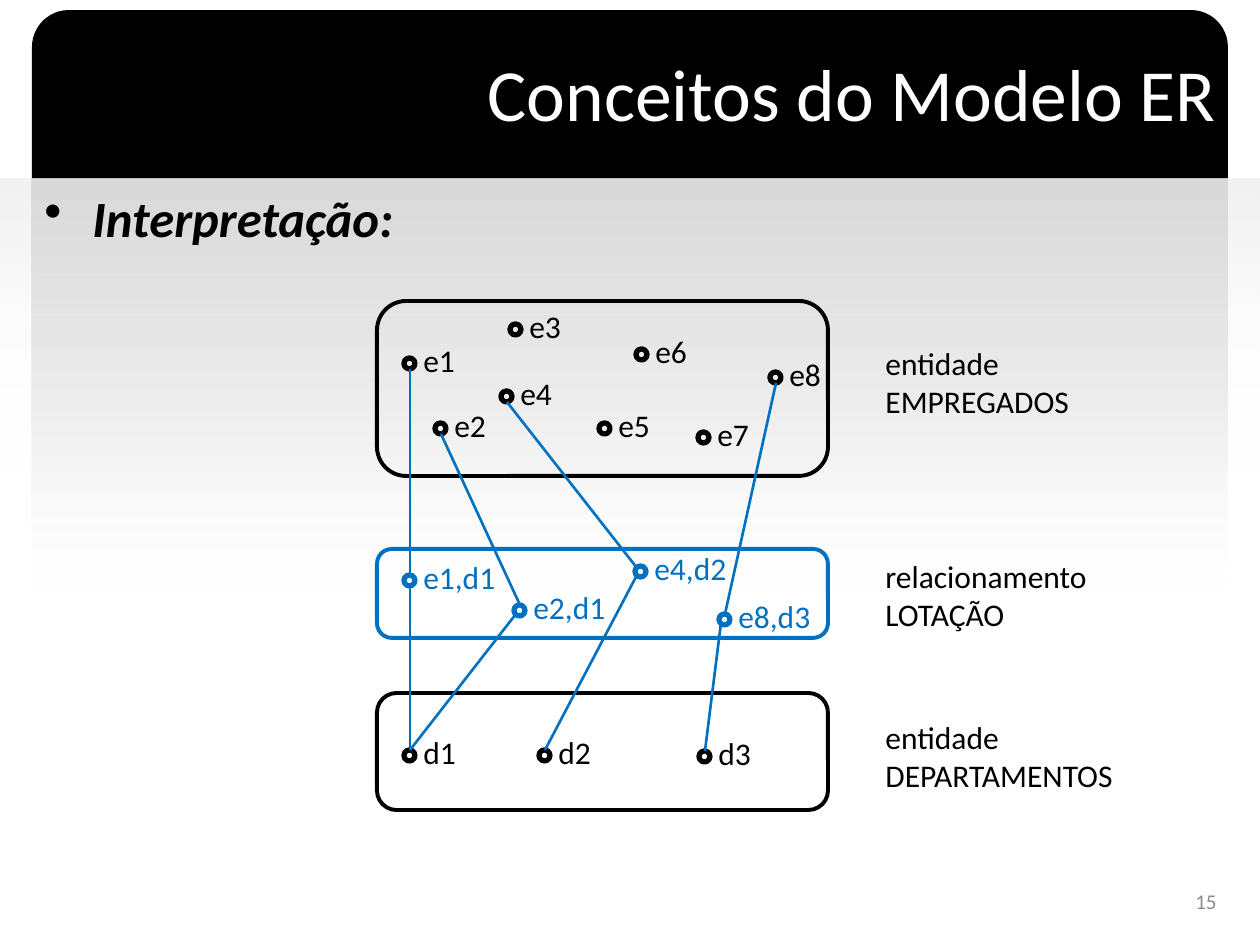
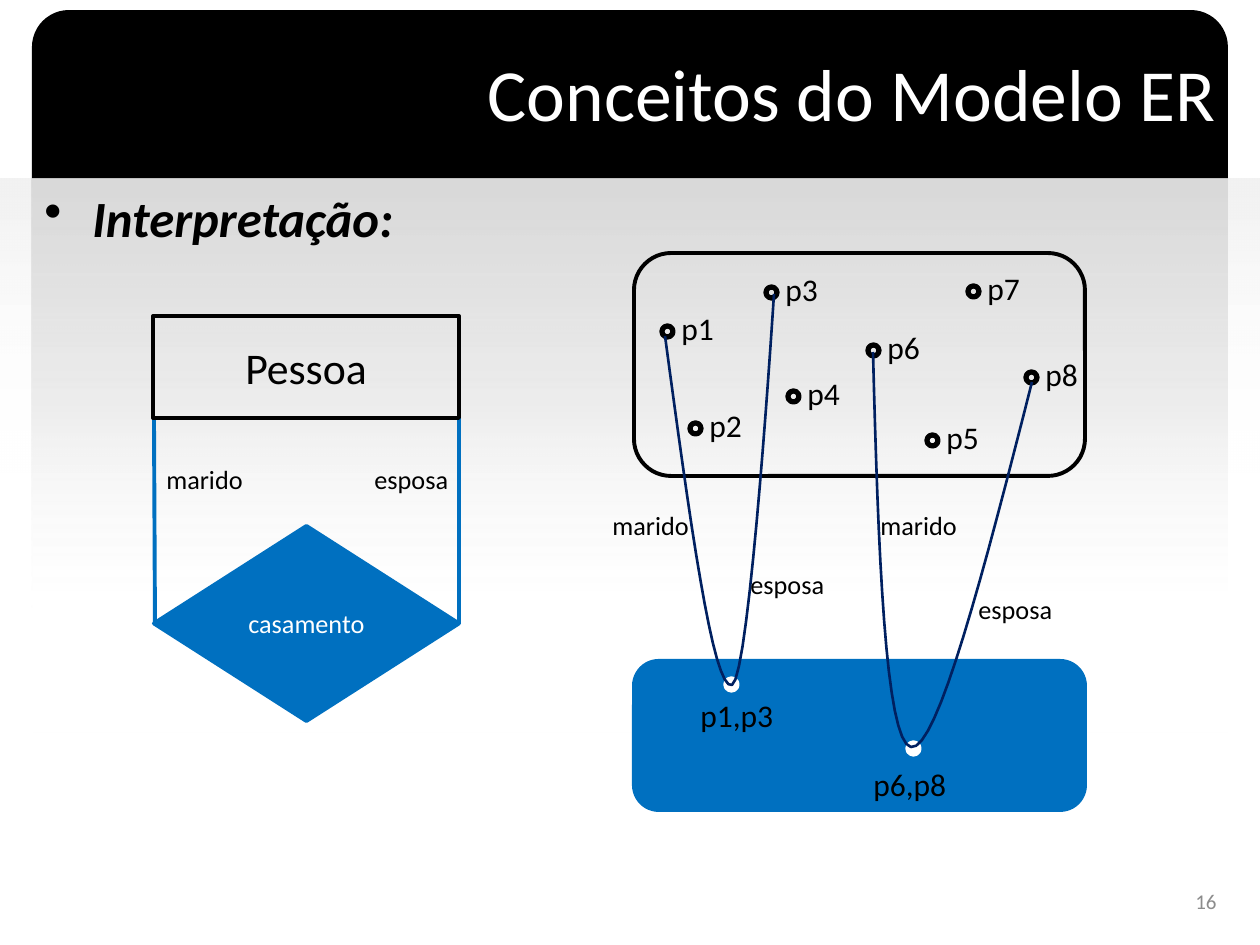
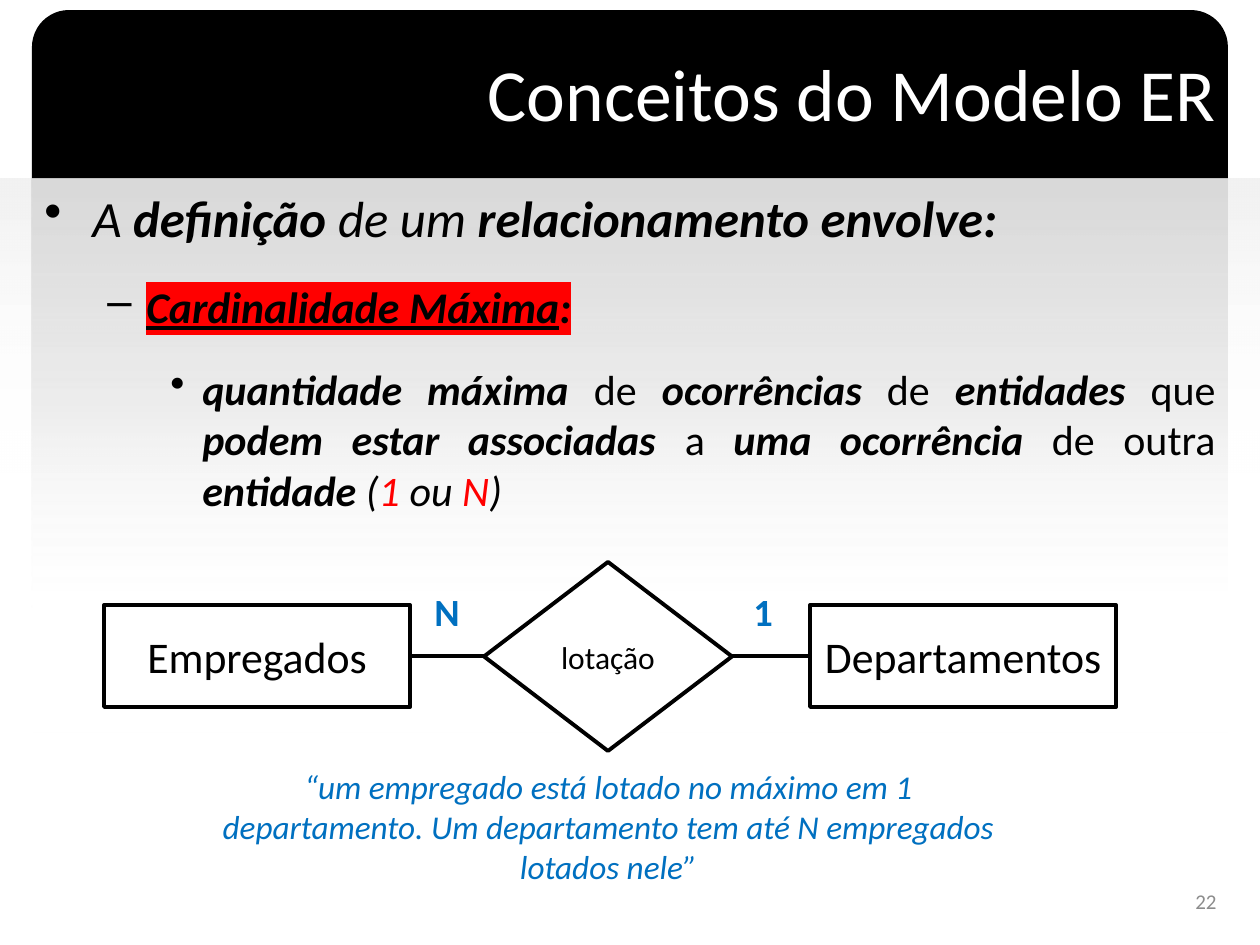
from lxml import etree
from pptx import Presentation
from pptx import util as u
from pptx.dml.color import RGBColor
from pptx.enum import shapes, text
from pptx.oxml import parse_xml
from pptx.oxml.ns import qn

PX = 914400 / 126
FONT = "Calibri"
NS = 'xmlns:a="http://schemas.openxmlformats.org/drawingml/2006/main"'
COLOURS = {"black": "000000", "white": "FFFFFF", "blue": "0070C0", "navy": "002060",
           "red": "FF0000", "grey": "8C8C8C"}
RGB = {name: RGBColor.from_string(value) for name, value in COLOURS.items()}
KIND = shapes.MSO_SHAPE


def add(s, kind, box, lines=(), size=18, colour="black", fill=None, line=None,
        weight=2.25, align="CENTER", anchor="MIDDLE"):
    """Add a shape, or a text box if kind is None; a line is a string or (text, flags) runs."""
    box = [round(v * PX) for v in box]
    if kind is None:
        sp = s.shapes.add_textbox(*box)
    else:
        sp = s.shapes.add_shape(kind, *box)
        sp.shadow.inherit = False
        if fill:
            sp.fill.solid()
            sp.fill.fore_color.rgb = RGB[fill]
        else:
            sp.fill.background()
        if line:
            sp.line.color.rgb = RGB[line]
            sp.line.width = u.Pt(weight)
        else:
            sp.line.fill.background()
    tf = sp.text_frame
    tf.word_wrap = True
    tf.vertical_anchor = getattr(text.MSO_ANCHOR, anchor)
    for i, runs in enumerate(lines):
        p = tf.add_paragraph() if i else tf.paragraphs[0]
        p.alignment = getattr(text.PP_ALIGN, align)
        for words, flags in [(runs, "")] if isinstance(runs, str) else runs:
            r = p.add_run()
            r.text = words
            r.font.name, r.font.size = FONT, u.Pt(size)
            r.font.bold, r.font.italic, r.font.underline = (f in flags for f in "biu")
            r.font.color.rgb = RGB["red" if "r" in flags else colour]
            if "h" in flags:
                mark = parse_xml(f'<a:highlight {NS}><a:srgbClr val="{COLOURS["red"]}"/></a:highlight>')
                r.font._element.find(qn("a:latin")).addprevious(mark)
    return sp


def link(s, start, end, colour, weight):
    ends = [round(v * PX) for v in (*start, *end)]
    c = s.shapes.add_connector(shapes.MSO_CONNECTOR.STRAIGHT, *ends)
    c.line.color.rgb = RGB[colour]
    c.line.width = u.Pt(weight)
    etree.SubElement(c._element.spPr, qn("a:effectLst"))


prs = Presentation()
prs.slide_width, prs.slide_height = u.Inches(10), u.Inches(7.5)

# Shared frame: (box, gradient stops as position, colour, opacity)
BANDS = [
    ((0, 179, 1260, 294), [(0, "F2F2F2", 100), (100, "FFFFFF", 0)]),
    ((32, 179, 1196, 557), [(0, "D9D9D9", 100), (40, "DFDFDF", 55),
                            (78, "FFFFFF", 10), (100, "FFFFFF", 0)]),
]
# Outline levels: size, left margin, hanging indent, bullet
LEVELS = [(29, 48, 48, "•"), (25, 102, 39, "–"), (24, 158, 32, "•")]

interpretation = [[("Interpretação:", "bi")]]
cardinality = [
    [("A ", "i"), ("definição ", "bi"), ("de um ", "i"), ("relacionamento envolve:", "bi")],
    [("Cardinalidade Máxima", "biuh"), (":", "bih")],
    [("quantidade máxima ", "bi"), ("de ", ""), ("ocorrências ", "bi"), ("de ", ""),
     ("entidades ", "bi"), ("que ", ""), ("podem estar associadas ", "bi"), ("a ", ""),
     ("uma ocorrência ", "bi"), ("de outra ", ""), ("entidade ", "bi"), ("(", "i"),
     ("1", "ir"), (" ou ", "i"), ("N", "ir"), (")", "i")],
]

slides = []
for number, body in [("15", interpretation), ("16", interpretation), ("22", cardinality)]:
    s = prs.slides.add_slide(prs.slide_layouts[6])
    slides.append(s)
    for box, stops in BANDS:
        sp = add(s, KIND.RECTANGLE, box)
        marks = "".join(f'<a:gs pos="{pos * 1000}"><a:srgbClr val="{rgb}">'
                        f'<a:alpha val="{alpha * 1000}"/></a:srgbClr></a:gs>'
                        for pos, rgb, alpha in stops)
        grad = parse_xml(f'<a:gradFill {NS} rotWithShape="1"><a:gsLst>{marks}</a:gsLst>'
                         '<a:lin ang="5400000" scaled="0"/></a:gradFill>')
        pr = sp._element.spPr
        pr.replace(pr.find(qn("a:noFill")), grad)
    sp = add(s, KIND.ROUND_2_SAME_RECTANGLE, (32, 10, 1196, 168), fill="black")
    sp.adjustments[0] = 0.22
    add(s, None, (32, 13, 1196, 158), ["Conceitos do Modelo ER"], 42, "white", align="RIGHT")

    sp = add(s, None, (32, 181, 1196, 682), body, align="JUSTIFY", anchor="TOP")
    for level, (p, (size, left, hang, bullet)) in enumerate(zip(sp.text_frame.paragraphs, LEVELS)):
        p.level = level
        pr = p._p.get_or_add_pPr()
        pr.set("marL", str(round(left * PX)))
        pr.set("indent", str(round(-hang * PX)))
        etree.SubElement(pr, qn("a:buChar"), char=bullet)
        p.space_before, p.space_after = u.Pt(6 if level else 0), u.Pt(12)
        for r in p.runs:
            r.font.size = u.Pt(size)
    add(s, None, (935, 876, 294, 50), [number], 12, "grey", align="RIGHT")

# Sets of occurrences: slide, frame, colour, label width, dots
staff, people, cardinal = slides
SETS = [
    (staff, (377, 301, 451, 175), "black", 63,
     {"e1": (404, 358), "e2": (435, 423), "e3": (510, 324), "e4": (501, 391),
      "e5": (599, 423), "e6": (636, 349), "e7": (698, 432), "e8": (770, 372)}),
    (staff, (377, 693, 451, 117), "black", 63,
     {"d1": (404, 750), "d2": (539, 750), "d3": (699, 751)}),
    (staff, (377, 549, 451, 89), "blue", 115,
     {"e1,d1": (404, 575), "e2,d1": (514, 605), "e4,d2": (635, 566), "e8,d3": (719, 614)}),
    (people, (634, 253, 451, 223), "black", 63,
     {"p1": (662, 326), "p2": (690, 423), "p3": (766, 287), "p4": (788, 391),
      "p5": (927, 435), "p6": (868, 345), "p7": (968, 286), "p8": (1026, 372)}),
]
DOT = 11
dots = {}
for s, frame, colour, width, members in SETS:
    add(s, KIND.ROUNDED_RECTANGLE, frame, line=colour)
    dots.update(members)
    for name, (x, y) in members.items():
        add(s, KIND.OVAL, (x, y, DOT, DOT), line=colour, weight=3)
        add(s, None, (x + 7, y - 23, width, 50), [name], colour=colour, align="LEFT", anchor="TOP")

# Slide 15: set names and links between dots, each end at a point on the dot's rim
for y, kind, name in [(338, "entidade", "EMPREGADOS"), (551, "relacionamento", "LOTAÇÃO"),
                      (712, "entidade", "DEPARTAMENTOS")]:
    add(staff, None, (873, y, 270, 89), [kind, name], align="LEFT", anchor="TOP")

RIM = {"top": (6, 0), "bottom": (6, DOT), "top left": (2, 2), "bottom left": (2, 9)}
for start, start_rim, end, end_rim in [
        ("e1", "bottom", "e1,d1", "top"), ("e1,d1", "bottom", "d1", "top"),
        ("e2", "bottom", "e2,d1", "top"), ("e2,d1", "bottom left", "d1", "top"),
        ("e4", "bottom", "e4,d2", "top left"), ("e4,d2", "bottom left", "d2", "top"),
        ("e8", "bottom", "e8,d3", "top"), ("e8,d3", "bottom left", "d3", "top")]:
    ends = [[a + b for a, b in zip(dots[dot], RIM[rim])]
            for dot, rim in [(start, start_rim), (end, end_rim)]]
    link(staff, *ends, "blue", 1.5)

# Slide 16: marriages
add(people, KIND.ROUNDED_RECTANGLE, (634, 661, 451, 149), fill="blue", line="blue")
for name, x, y, label_x, label_y in [("p1,p3", 726, 679, 688, 690), ("p6,p8", 908, 743, 861, 759)]:
    add(people, KIND.OVAL, (x, y, DOT, DOT), fill="white", line="white", weight=3)
    add(people, None, (label_x, label_y, 115, 50), [name], align="LEFT", anchor="TOP")

# Curves as chains of cubic Bézier points
STEPS = 16
for chain in [
        [(665, 336), (689, 514), (713, 692), (732, 685), (750, 678), (774, 294), (774, 294)],
        [(873, 352), (878, 547), (885, 742), (911, 747), (937, 752), (985, 567), (1032, 382)]]:
    points = []
    for k in range(0, len(chain) - 1, 3):
        for t in [n / STEPS for n in range(1, STEPS + 1)]:
            weights = ((1 - t) ** 3, 3 * t * (1 - t) ** 2, 3 * t * t * (1 - t), t ** 3)
            points.append([PX * sum(w * pt[axis] for w, pt in zip(weights, chain[k:k + 4]))
                           for axis in (0, 1)])
    fb = people.shapes.build_freeform(*(v * PX for v in chain[0]))
    fb.add_line_segments(points, close=False)
    sp = fb.convert_to_shape()
    sp.shadow.inherit = False
    sp.fill.background()
    sp.line.color.rgb = RGB["navy"]
    sp.line.width = u.Pt(1.5)

# Slide 16: self-relationship diagram and roles
for top_x, bottom_x in [(154, 155), (459, 459)]:
    link(people, (bottom_x, 624), (top_x, 418), "blue", 2.25)
add(people, KIND.RECTANGLE, (153, 316, 306, 102), ["Pessoa"], 25, line="black")
add(people, KIND.DIAMOND, (154, 526, 305, 195), ["casamento"], 15, "white", "blue", "blue")
for role, x, y in [("marido", 600, 503), ("esposa", 738, 562), ("marido", 868, 503),
                   ("esposa", 966, 587), ("marido", 154, 457), ("esposa", 362, 457)]:
    add(people, None, (x, y, 110, 44), [role], 15, align="LEFT", anchor="TOP")

# Slide 22: relationship diagram
link(cardinal, (411, 656), (810, 656), "black", 2.25)
for name, x in [("Empregados", 104), ("Departamentos", 810)]:
    add(cardinal, KIND.RECTANGLE, (x, 605, 306, 102), [name], 25, line="black")
add(cardinal, KIND.DIAMOND, (484, 562, 248, 189), ["lotação"], fill="white", line="black")
for mark, x in [("N", 422), ("1", 741)]:
    add(cardinal, None, (x, 582, 60, 59), [[(mark, "b")]], 22, "blue", align="LEFT", anchor="TOP")
quote = ["“um empregado está lotado no máximo em 1",
         "departamento. Um departamento tem até N empregados", "lotados nele”"]
add(cardinal, None, (194, 760, 829, 134), [[(words, "i")] for words in quote], 19, "blue", anchor="TOP")

prs.save("out.pptx")
